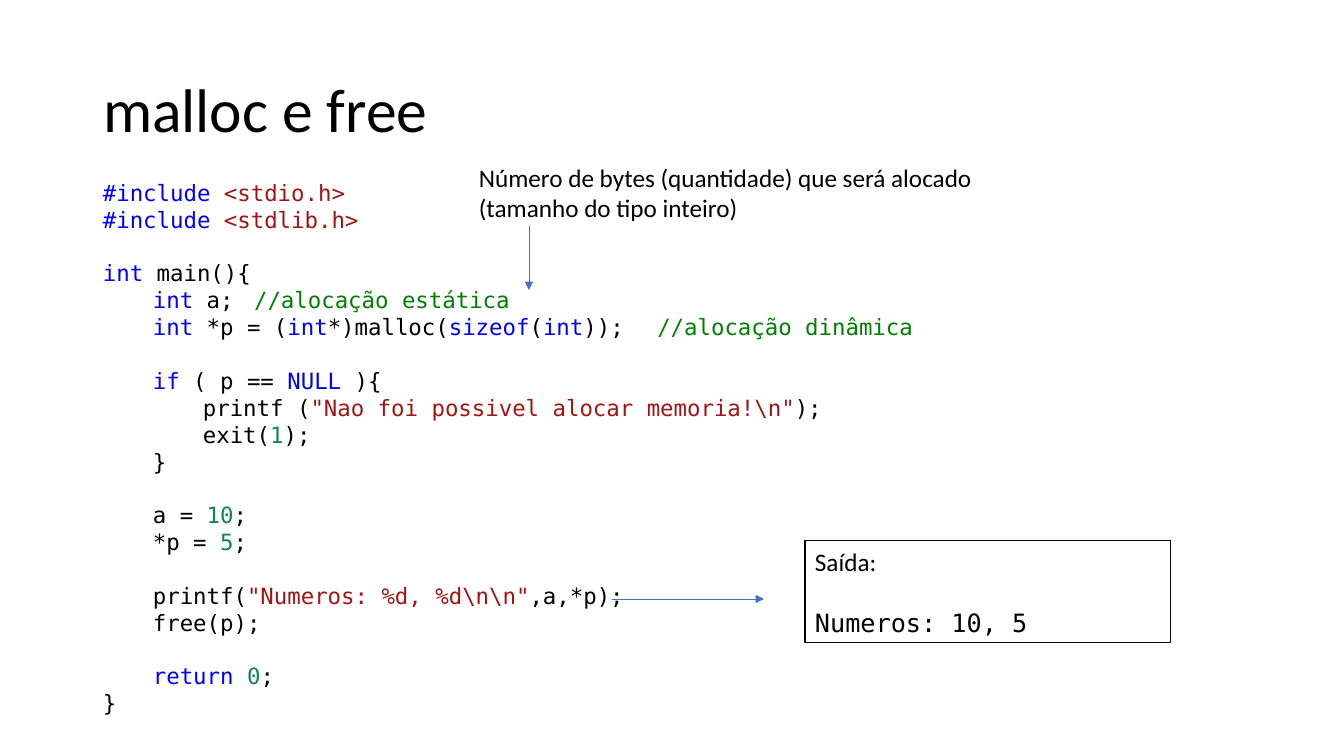
from dataclasses import dataclass

from lxml import etree
from pptx import Presentation
from pptx.dml.color import RGBColor
from pptx.enum.shapes import MSO_CONNECTOR, MSO_SHAPE
from pptx.enum.text import MSO_ANCHOR, MSO_AUTO_SIZE, PP_ALIGN
from pptx.oxml.ns import qn
from pptx.util import Emu, Pt

STRAIGHT = MSO_CONNECTOR.STRAIGHT
RECTANGLE = MSO_SHAPE.RECTANGLE
TOP, MIDDLE = MSO_ANCHOR.TOP, MSO_ANCHOR.MIDDLE
NO_AUTOFIT = MSO_AUTO_SIZE.NONE
LEFT = PP_ALIGN.LEFT
EMU_PER_INCH = 914400
PX_PER_INCH = 100.8
INDENT_PX = 50


@dataclass(frozen=True)
class Theme:
    sans: str = "Calibri"
    mono: str = "DejaVu Sans Mono"
    title_size: float = 44
    body_size: float = 18
    code_size: float = 16
    code_line: float = 19.2
    output_gap: float = 22
    plain: str = "000000"
    keyword: str = "0000FF"
    string: str = "A31515"
    number: str = "09885A"
    comment: str = "008000"
    arrow: str = "4472C4"


THEME = Theme()
PLAIN, KEYWORD, STRING = THEME.plain, THEME.keyword, THEME.string
NUMBER, COMMENT = THEME.number, THEME.comment

CODE_BLOCKS = [
    [
        (0, [("#include ", KEYWORD), ("<stdio.h>", STRING)]),
        (0, [("#include ", KEYWORD), ("<stdlib.h>", STRING)]),
    ],
    [
        (0, [("int ", KEYWORD), ("main(){", PLAIN)]),
        (1, [("int", KEYWORD), (" a;\t", PLAIN), ("//alocação estática", COMMENT)]),
        (1, [("int", KEYWORD), (" *p = (", PLAIN), ("int", KEYWORD), ("*)malloc(", PLAIN),
             ("sizeof", KEYWORD), ("(", PLAIN), ("int", KEYWORD), ("));\t", PLAIN),
             ("//alocação dinâmica", COMMENT)]),
    ],
    [
        (1, [("if", KEYWORD), (" ( p == ", PLAIN), ("NULL", KEYWORD), (" ){", PLAIN)]),
        (2, [("printf (", PLAIN), (r'"Nao foi possivel alocar memoria!\n"', STRING), (");", PLAIN)]),
        (2, [("exit(", PLAIN), ("1", NUMBER), (");", PLAIN)]),
        (1, [("}", PLAIN)]),
    ],
    [
        (1, [("a = ", PLAIN), ("10", NUMBER), (";", PLAIN)]),
        (1, [("*p = ", PLAIN), ("5", NUMBER), (";", PLAIN)]),
    ],
    [
        (1, [("printf(", PLAIN), (r'"Numeros: %d, %d\n\n"', STRING), (",a,*p);", PLAIN)]),
        (1, [("free(p);", PLAIN)]),
    ],
    [
        (1, [("return ", KEYWORD), ("0", NUMBER), (";", PLAIN)]),
        (0, [("}", PLAIN)]),
    ],
]
COMMENT_TABS = {"//alocação estática": 454, "//alocação dinâmica": 554}


def px(length):
    return Emu(round(length * EMU_PER_INCH / PX_PER_INCH))


def apply(target, **values):
    for name, value in values.items():
        setattr(target, name, value)


def place(shape, left, top, width, height):
    apply(shape, left=px(left), top=px(top), width=px(width), height=px(height))


def add_words(paragraph, words, font, size, color=PLAIN):
    run = paragraph.add_run()
    run.text = words
    apply(run.font, name=font, size=Pt(size))
    run.font.color.rgb = RGBColor.from_string(color)


def next_paragraph(frame):
    first = frame.paragraphs[0]
    return first if not first.runs else frame.add_paragraph()


def indent_code(paragraph, level, tab):
    properties = paragraph._p.get_or_add_pPr()
    properties.set("marL", "0")
    properties.set("indent", str(px(level * INDENT_PX)))
    if tab:
        stops = etree.SubElement(properties, qn("a:tabLst"))
        etree.SubElement(stops, qn("a:tab"), pos=str(px(tab)), algn="l")


def add_title(slide, words, box):
    title = slide.shapes.title
    place(title, *box)
    apply(title.text_frame, vertical_anchor=MIDDLE, word_wrap=True, auto_size=NO_AUTOFIT)
    paragraph = title.text_frame.paragraphs[0]
    apply(paragraph, alignment=LEFT, line_spacing=0.9)
    add_words(paragraph, words, THEME.sans, THEME.title_size)


def add_code(slide, blocks, box):
    frame = slide.shapes.add_textbox(*map(px, box)).text_frame
    frame.word_wrap = True
    for block_number, block in enumerate(blocks):
        for line_number, (level, tokens) in enumerate(block):
            paragraph = next_paragraph(frame)
            indent_code(paragraph, level, COMMENT_TABS.get(tokens[-1][0]))
            paragraph.line_spacing = Pt(THEME.code_line)
            if block_number and not line_number:
                paragraph.space_before = Pt(THEME.code_line)
            for words, color in tokens:
                add_words(paragraph, words, THEME.mono, THEME.code_size, color)


def add_output(slide, heading, result, box):
    output = slide.shapes.add_shape(RECTANGLE, *map(px, box))
    output.shadow.inherit = False
    output.fill.background()
    output.line.color.rgb = RGBColor.from_string(PLAIN)
    output.line.width = Pt(0.75)
    frame = output.text_frame
    apply(frame, word_wrap=True, vertical_anchor=TOP)
    for words, font, gap in ((heading, THEME.sans, 0), (result, THEME.mono, THEME.output_gap)):
        paragraph = next_paragraph(frame)
        apply(paragraph, alignment=LEFT, space_before=Pt(gap))
        add_words(paragraph, words, font, THEME.body_size)


def add_arrow(slide, start, end):
    arrow = slide.shapes.add_connector(STRAIGHT, *map(px, start + end))
    arrow.line.color.rgb = RGBColor.from_string(THEME.arrow)
    arrow.line.width = Pt(0.5)
    etree.SubElement(arrow.line._get_or_add_ln(), qn("a:tailEnd"), type="triangle")
    etree.SubElement(arrow._element.spPr, qn("a:effectLst"))


def add_note(slide, words, box):
    frame = slide.shapes.add_textbox(*map(px, box)).text_frame
    frame.word_wrap = True
    add_words(frame.paragraphs[0], words, THEME.sans, THEME.body_size)


def main():
    deck = Presentation()
    apply(deck, slide_width=px(1344), slide_height=px(756))
    slide = deck.slides.add_slide(deck.slide_layouts[5])
    add_title(slide, "malloc e free", (93, 40, 1159, 146))
    add_code(slide, CODE_BLOCKS, (93, 174, 1019, 553))
    add_output(slide, "Saída:", "Numeros: 10, 5", (805, 541, 366, 102))
    add_arrow(slide, (612, 599), (764, 599))
    add_arrow(slide, (529, 226), (529, 290))
    add_note(slide, "Número de bytes (quantidade) que será alocado (tamanho do tipo inteiro)",
             (469, 157, 591, 72))
    deck.save("out.pptx")


if __name__ == "__main__":
    main()
